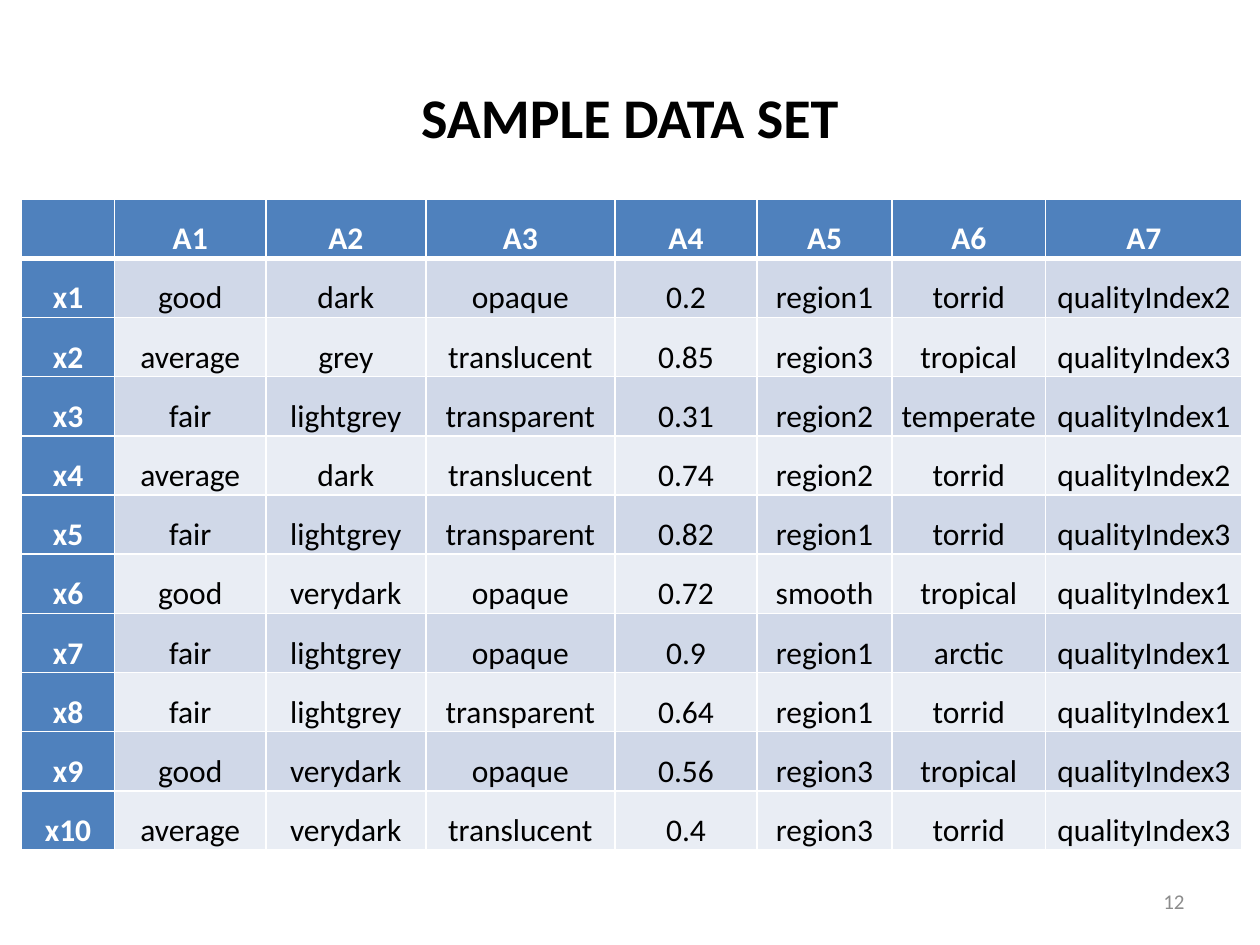
from lxml import etree
from pptx import Presentation
from pptx import util as u
from pptx.dml.color import RGBColor
from pptx.enum import text
from pptx.oxml import ns

WIDTH, HEIGHT = u.Inches(10), u.Inches(7.5)
FONT = "Calibri"
BLUE, WHITE, BLACK, GREY = "4F81BD", "FFFFFF", "000000", "8C8C8C"
BANDS = ["D0D8E8", "E9EDF4"]
COLUMN_WIDTHS = [0.74, 1.2, 1.27, 1.5, 1.13, 1.07, 1.22, 1.56]
ROW_HEIGHT = 0.47
SAMPLES = [
    "good dark opaque 0.2 region1 torrid qualityIndex2",
    "average grey translucent 0.85 region3 tropical qualityIndex3",
    "fair lightgrey transparent 0.31 region2 temperate qualityIndex1",
    "average dark translucent 0.74 region2 torrid qualityIndex2",
    "fair lightgrey transparent 0.82 region1 torrid qualityIndex3",
    "good verydark opaque 0.72 smooth tropical qualityIndex1",
    "fair lightgrey opaque 0.9 region1 arctic qualityIndex1",
    "fair lightgrey transparent 0.64 region1 torrid qualityIndex1",
    "good verydark opaque 0.56 region3 tropical qualityIndex3",
    "average verydark translucent 0.4 region3 torrid qualityIndex3",
]


def color(value):
    return RGBColor.from_string(value)


def place(box, left, top, width, height):
    box.left, box.top = int(WIDTH * left), int(HEIGHT * top)
    box.width, box.height = int(WIDTH * width), int(HEIGHT * height)


def write(frame, words, size, ink, align, bold=False):
    para = frame.paragraphs[0]
    para.alignment = align
    span = para.add_run()
    span.text = words
    span.font.name = FONT
    span.font.size = u.Pt(size)
    span.font.bold = bold
    span.font.color.rgb = color(ink)
    return para


def add_title(page, words):
    title = page.shapes.title
    place(title, 0.05, 0.04, 0.9, 1 / 6)
    title.text_frame.vertical_anchor = text.MSO_ANCHOR.MIDDLE
    write(title.text_frame, words, 32, BLACK, text.PP_ALIGN.CENTER, True)


def add_page_number(page, number):
    box = page.shapes.add_textbox(0, 0, 0, 0)
    place(box, 0.717, 0.927, 0.233, 0.053)
    frame = box.text_frame
    frame.word_wrap = True
    frame.vertical_anchor = text.MSO_ANCHOR.MIDDLE
    write(frame, number, 12, GREY, text.PP_ALIGN.RIGHT)


def add_border(cell, side, points):
    properties = cell._tc.get_or_add_tcPr()
    line = etree.SubElement(properties, ns.qn(f"a:ln{side}"), w=str(u.Pt(points)))
    fill = etree.SubElement(line, ns.qn("a:solidFill"))
    etree.SubElement(fill, ns.qn("a:srgbClr"), val=WHITE)


def format_cell(cell, row, column, words):
    heading = row == 0 or column == 0
    for side in "LRTB":
        below_header = (row, side) in [(0, "B"), (1, "T")]
        add_border(cell, side, 3 if below_header else 1)
    cell.fill.solid()
    cell.fill.fore_color.rgb = color(BLUE if heading else BANDS[(row - 1) % 2])
    cell.vertical_anchor = text.MSO_ANCHOR.BOTTOM
    cell.margin_left = cell.margin_right = u.Inches(0.07)
    cell.margin_top = cell.margin_bottom = 0
    if words:
        ink = WHITE if heading else BLACK
        para = write(cell.text_frame, words, 18, ink, text.PP_ALIGN.CENTER, heading)
        para.line_spacing = 1.15


def add_data_table(page, rows):
    box = page.shapes.add_table(
        len(rows), len(COLUMN_WIDTHS), u.Inches(0.17), u.Inches(1.58),
        u.Inches(sum(COLUMN_WIDTHS)), u.Inches(ROW_HEIGHT * len(rows)))
    table = box.table
    for column, width in zip(table.columns, COLUMN_WIDTHS):
        column.width = u.Inches(width)
    for r, values in enumerate(rows):
        table.rows[r].height = u.Inches(ROW_HEIGHT)
        for c, words in enumerate(values):
            format_cell(table.cell(r, c), r, c, words)


def main():
    deck = Presentation()
    deck.slide_width, deck.slide_height = WIDTH, HEIGHT
    page = deck.slides.add_slide(deck.slide_layouts[5])
    header = [""] + [f"A{n}" for n in range(1, len(COLUMN_WIDTHS))]
    samples = [[f"x{n}"] + line.split() for n, line in enumerate(SAMPLES, 1)]
    add_title(page, "SAMPLE DATA SET")
    add_page_number(page, "12")
    add_data_table(page, [header] + samples)
    deck.save("out.pptx")


if __name__ == "__main__":
    main()
